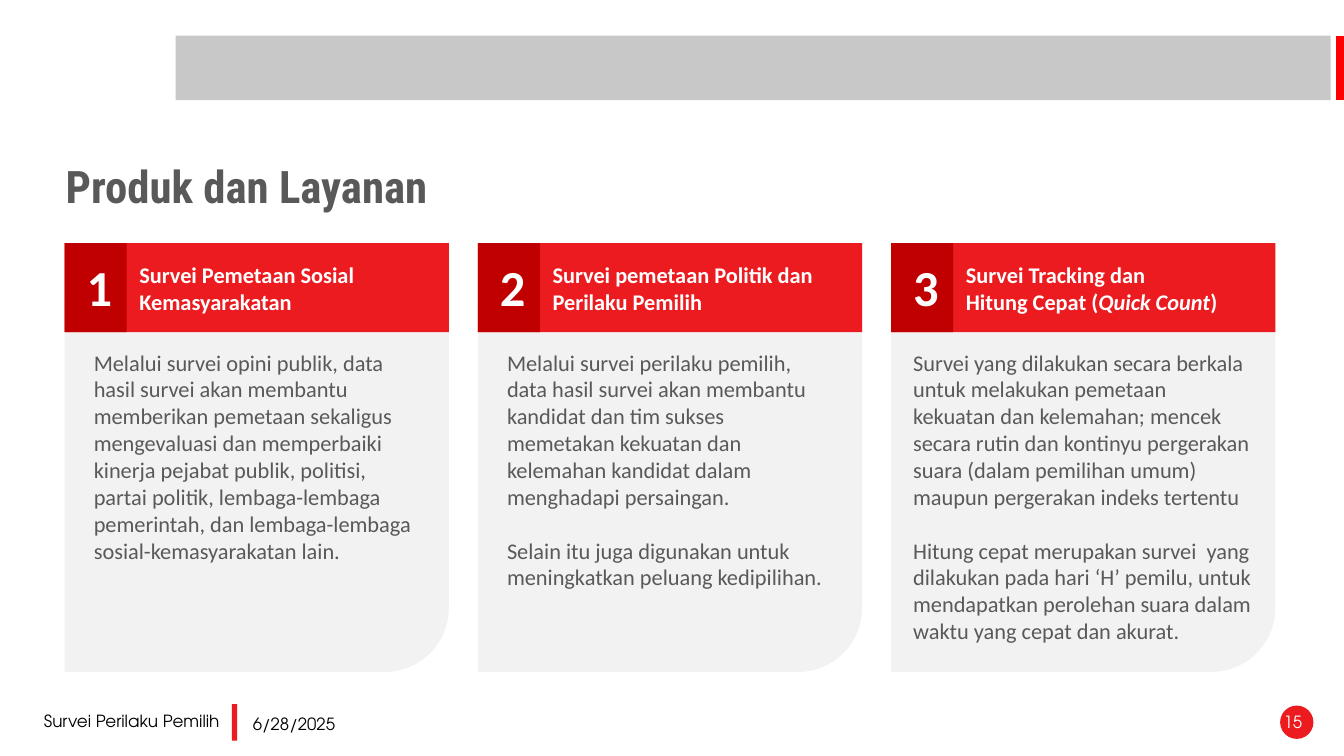
from pptx import Presentation
from pptx.dml.color import RGBColor
from pptx.enum.shapes import MSO_CONNECTOR, MSO_SHAPE
from pptx.enum.text import MSO_ANCHOR, PP_ALIGN
from pptx.oxml.ns import qn
from pptx.util import Pt
from lxml.etree import SubElement

COLORS = {
    "band": "C8C8C8",
    "edge": "FF0000",
    "panel": "F2F2F2",
    "red": "EB1B1F",
    "dark_red": "C00000",
    "text": "595959",
    "white": "FFFFFF",
    "black": "000000",
}
TITLE = {"name": "Roboto Condensed", "size": Pt(32), "bold": True}
NUMBER = {"name": "Calibri", "size": Pt(36), "bold": True}
HEADING = {"name": "Calibri", "size": Pt(16), "bold": True}
BODY = {"name": "Calibri", "size": Pt(16)}
FOOTER = {"name": "TeX Gyre Adventor", "size": Pt(12)}

CARD_LEFT, CARD_STEP, CARD_WIDTH = 46.2, 295.2, 274.4
CARDS = [
    {
        "heading": [["Survei Pemetaan Sosial Kemasyarakatan"]],
        "heading_width": 178,
        "body": [[
            "Melalui survei opini publik, data hasil survei akan membantu memberikan pemetaan "
            "sekaligus mengevaluasi dan memperbaiki kinerja pejabat publik, politisi, partai politik, "
            "lembaga-lembaga pemerintah, dan lembaga-lembaga sosial-kemasyarakatan lain."
        ]],
        "body_offset": 13.7,
        "body_width": 245,
    },
    {
        "heading": [["Survei pemetaan Politik dan Perilaku Pemilih"]],
        "heading_width": 207.4,
        "body": [
            ["Melalui survei perilaku pemilih, data hasil survei akan membantu kandidat dan tim sukses "
             "memetakan kekuatan dan kelemahan kandidat dalam menghadapi persaingan."],
            ["Selain itu juga digunakan untuk meningkatkan peluang kedipilihan."],
        ],
        "body_offset": 13.7,
        "body_width": 249,
    },
    {
        "heading": [["Survei Tracking dan"], ["Hitung Cepat (", "Quick Count", ")"]],
        "heading_width": 207.4,
        "body": [
            ["Survei yang dilakukan secara berkala untuk melakukan pemetaan kekuatan dan kelemahan; "
             "mencek secara rutin dan kontinyu pergerakan suara (dalam pemilihan umum) maupun "
             "pergerakan indeks tertentu"],
            ["Hitung cepat merupakan survei  yang dilakukan pada hari ‘H’ pemilu, untuk mendapatkan "
             "perolehan suara dalam waktu yang cepat dan akurat."],
        ],
        "body_offset": 8.6,
        "body_width": 257,
    },
]


def add_block(slide, kind, left, top, width, height, color):
    shape = slide.shapes.add_shape(kind, Pt(left), Pt(top), Pt(width), Pt(height))
    shape.shadow.inherit = False
    shape.fill.solid()
    shape.fill.fore_color.rgb = RGBColor.from_string(COLORS[color])
    shape.line.fill.background()


def add_edge_line(slide, x, top, bottom, color, width):
    connector = slide.shapes.add_connector(
        MSO_CONNECTOR.STRAIGHT, Pt(x), Pt(top), Pt(x), Pt(bottom))
    connector.line.color.rgb = RGBColor.from_string(COLORS[color])
    connector.line.width = Pt(width)
    SubElement(connector._element.spPr, qn("a:effectLst"))


def add_text(slide, left, top, width, height, paragraphs, font, color,
             anchor=MSO_ANCHOR.TOP, gap=0, **paragraph_format):
    box = slide.shapes.add_textbox(Pt(left), Pt(top), Pt(width), Pt(height))
    frame = box.text_frame
    frame.word_wrap = True
    frame.vertical_anchor = anchor
    for index, texts in enumerate(paragraphs):
        paragraph = frame.paragraphs[0] if index == 0 else frame.add_paragraph()
        paragraph.space_before = Pt(gap if index else 0)
        for name, value in paragraph_format.items():
            setattr(paragraph, name, value)
        for text in texts:
            run = paragraph.add_run()
            run.text = text
            for name, value in font.items():
                setattr(run.font, name, value)
            run.font.italic = text == "Quick Count"
            run.font.color.rgb = RGBColor.from_string(COLORS[color])


def add_card(slide, index, card):
    left = CARD_LEFT + index * CARD_STEP
    add_block(slide, MSO_SHAPE.ROUND_2_DIAG_RECTANGLE, left, 175.5, CARD_WIDTH, 304.5, "panel")
    add_block(slide, MSO_SHAPE.RECTANGLE, left, 173.7, CARD_WIDTH, 63.5, "red")
    add_block(slide, MSO_SHAPE.RECTANGLE, left, 173.7, 44.2, 63.5, "dark_red")
    add_text(slide, left + 8.6, 185, 27.5, 44.6, [[str(index + 1)]], NUMBER, "white",
             MSO_ANCHOR.MIDDLE, alignment=PP_ALIGN.CENTER, line_spacing=0.9)
    add_text(slide, left + 46.2, 183, card["heading_width"], 46, card["heading"], HEADING, "white")
    add_text(slide, left + card["body_offset"], 245.5, card["body_width"], 220,
             card["body"], BODY, "text", gap=19.2)


def add_footer(slide):
    add_block(slide, MSO_SHAPE.OVAL, 914.4, 504, 23.8, 23.8, "red")
    add_block(slide, MSO_SHAPE.RECTANGLE, 165.6, 503, 3.8, 26, "red")
    add_text(slide, 24.3, 504, 151, 29, [["Survei Perilaku Pemilih"]], FOOTER, "black")
    add_text(slide, 173.5, 506, 122, 29, [["6/28/2025"]], FOOTER, "black")
    add_text(slide, 809.3, 504.7, 128, 29, [["15"]], FOOTER, "white", alignment=PP_ALIGN.RIGHT)


def main():
    presentation = Presentation()
    presentation.slide_width = Pt(960)
    presentation.slide_height = Pt(540)
    slide = presentation.slides.add_slide(presentation.slide_layouts[6])
    add_block(slide, MSO_SHAPE.RECTANGLE, 125.5, 25.5, 825, 46, "band")
    add_edge_line(slide, 957.4, 25.5, 71.5, "edge", 6)
    add_text(slide, 39.8, 102.2, 373.7, 66.2, [["Produk dan Layanan"]], TITLE, "text",
             MSO_ANCHOR.MIDDLE, line_spacing=0.9)
    for index, card in enumerate(CARDS):
        add_card(slide, index, card)
    add_footer(slide)
    presentation.save("out.pptx")


if __name__ == "__main__":
    main()
